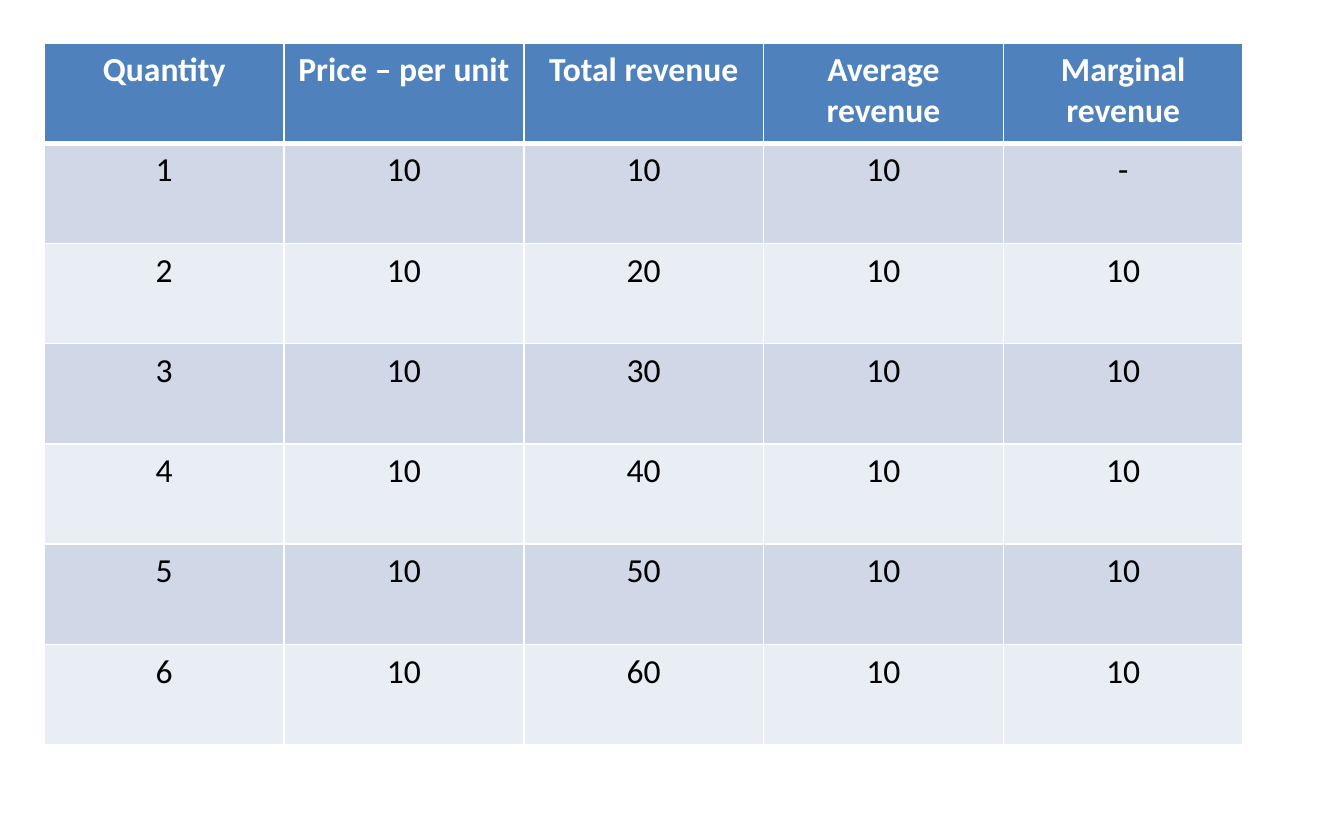
"""Build a slide with a revenue table for a firm selling at a constant price."""
from dataclasses import dataclass

from lxml.etree import SubElement
from pptx import Presentation
from pptx.dml.color import RGBColor
from pptx.enum.text import PP_ALIGN as Align
from pptx.oxml.ns import qn
from pptx.util import Inches, Pt


@dataclass(frozen=True)
class Theme:
    font: str = "Calibri"
    text_size: int = 18
    header_fill: str = "4F81BD"
    header_text: str = "FFFFFF"
    body_text: str = "000000"
    bands: tuple = ("D0D8E8", "E9EDF4")
    border: str = "FFFFFF"
    thin: int = 1
    thick: int = 3


theme = Theme()


def write_cell(cell, text, *, color, fill, bold=False):
    cell.fill.solid()
    cell.fill.fore_color.rgb = RGBColor.from_string(fill)
    para = cell.text_frame.paragraphs[0]
    para.alignment = Align.CENTER
    span = para.add_run()
    span.text = text
    span.font.name = theme.font
    span.font.size = Pt(theme.text_size)
    span.font.bold = bold
    span.font.color.rgb = RGBColor.from_string(color)


def draw_borders(cell, **widths):
    properties = cell._tc.get_or_add_tcPr()
    for side in "LRTB":
        width = Pt(widths.get(side, theme.thin))
        line = SubElement(properties, qn(f"a:ln{side}"), w=str(width))
        SubElement(SubElement(line, qn("a:solidFill")), qn("a:srgbClr"), val=theme.border)


headings = ["Quantity", "Price – per unit", "Total revenue", "Average revenue", "Marginal revenue"]
price = 10
records = [
    [quantity, price, quantity * price, price, price if quantity > 1 else "-"]
    for quantity in range(1, 7)
]
rows = [headings, *records]

deck = Presentation()
deck.slide_width = Inches(10)
deck.slide_height = Inches(6.25)
blank = deck.slide_layouts[6]
for level in (blank, deck.slide_master):
    for placeholder in list(level.placeholders):
        if placeholder.top >= deck.slide_height:
            placeholder.element.getparent().remove(placeholder.element)
page = deck.slides.add_slide(blank)

table = page.shapes.add_table(
    len(rows), len(headings), Inches(0.33), Inches(0.32), Inches(8.92), Inches(5.22)
).table

for row_index, row in enumerate(rows):
    for column_index, value in enumerate(row):
        cell = table.cell(row_index, column_index)
        if row_index == 0:
            draw_borders(cell, B=theme.thick)
            write_cell(cell, value, color=theme.header_text, fill=theme.header_fill, bold=True)
        else:
            draw_borders(cell, T=theme.thick if row_index == 1 else theme.thin)
            band = theme.bands[(row_index - 1) % 2]
            write_cell(cell, str(value), color=theme.body_text, fill=band)

deck.save("out.pptx")
